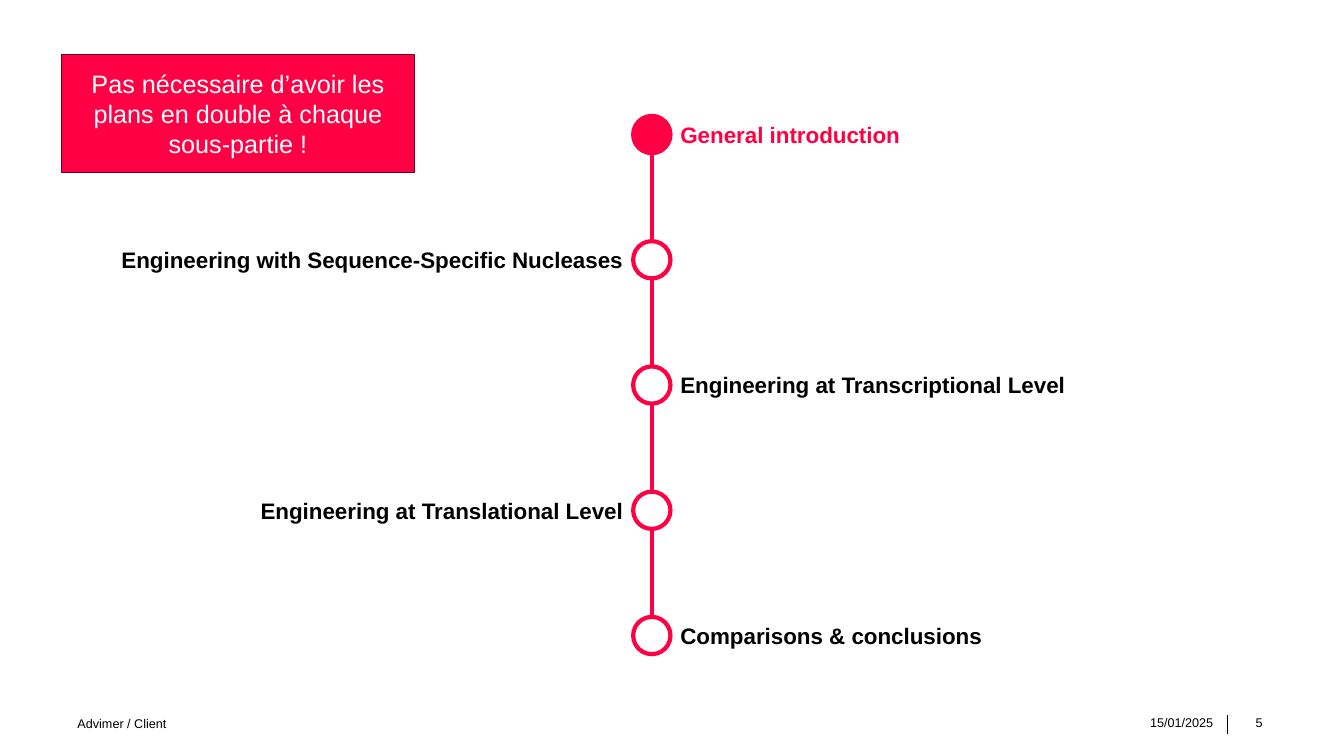
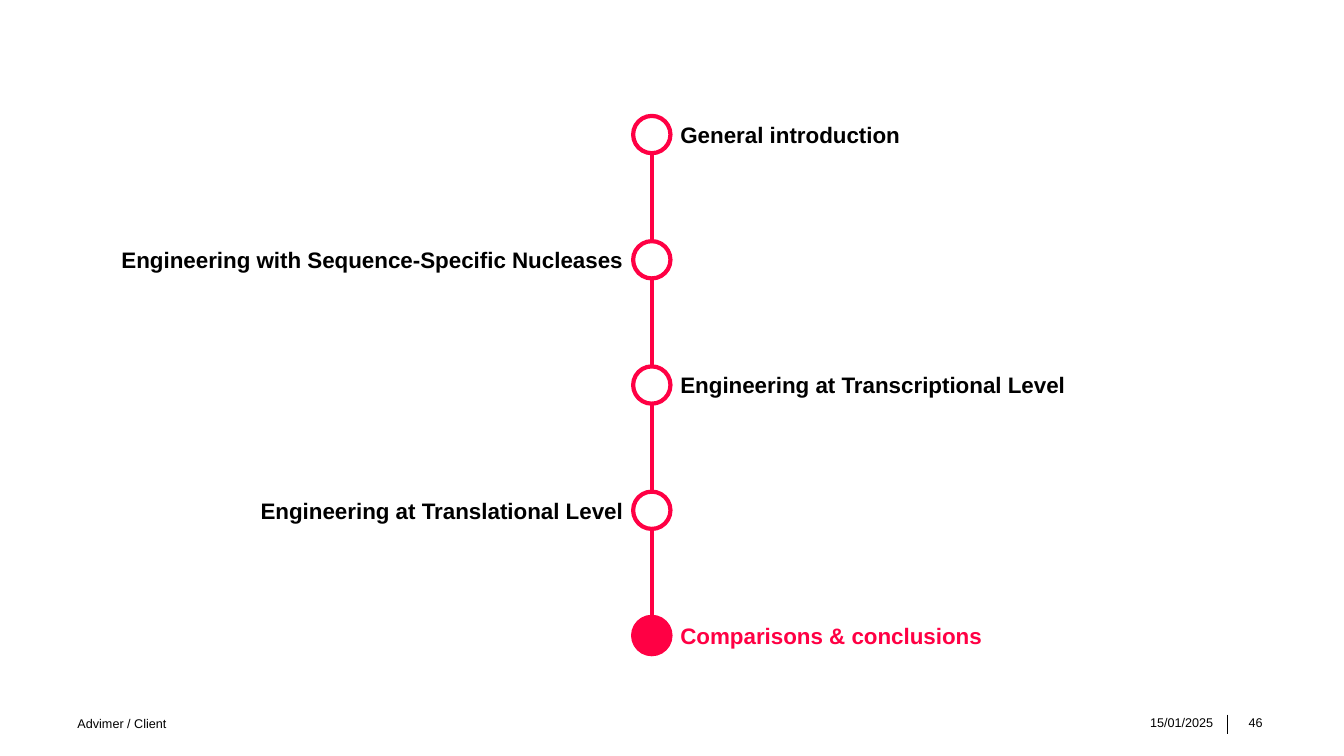
import pptx
import pptx.util
import pptx.dml.color
import pptx.enum.shapes
import pptx.enum.text
import pptx.oxml.ns
import lxml.etree

Inches = pptx.util.Inches
Pt = pptx.util.Pt
RGBColor = pptx.dml.color.RGBColor
Align = pptx.enum.text.PP_ALIGN
Anchor = pptx.enum.text.MSO_ANCHOR
Shape = pptx.enum.shapes.MSO_SHAPE

RED = RGBColor(0xFF, 0x00, 0x44)
WINE = RGBColor(0x70, 0x00, 0x1E)
BLACK = RGBColor(0x00, 0x00, 0x00)
WHITE = RGBColor(0xFF, 0xFF, 0xFF)
FONT = "Arial"

STEPS = [
    "General introduction",
    "Engineering with Sequence-Specific Nucleases",
    "Engineering at Transcriptional Level",
    "Engineering at Translational Level",
    "Comparisons & conclusions",
]
TOP, END = 1.15, 6.12
LEFT, DOT = 6.28, 0.37
PITCH = (END - TOP) / (len(STEPS) - 1)


def write(shape, text, size, color, align, bold=False):
    frame = shape.text_frame
    frame.word_wrap = True
    frame.vertical_anchor = Anchor.MIDDLE
    para = frame.paragraphs[0]
    para.text = text
    para.alignment = align
    font = para.font
    font.name, font.size, font.bold = FONT, Pt(size), bold
    font.color.rgb = color


def label(slide, box, text, size, color=BLACK, align=Align.LEFT, bold=False):
    shape = slide.shapes.add_textbox(*map(Inches, box))
    write(shape, text, size, color, align, bold)


def rule(slide, x, top, end, color, width):
    line = slide.shapes.add_connector(
        pptx.enum.shapes.MSO_CONNECTOR.STRAIGHT,
        Inches(x), Inches(top), Inches(x), Inches(end))
    line.line.color.rgb = color
    line.line.width = Pt(width)
    props = line._element.spPr
    lxml.etree.SubElement(props, pptx.oxml.ns.qn("a:effectLst"))


def solid(slide, kind, box, fill, edge, width):
    shape = slide.shapes.add_shape(kind, *map(Inches, box))
    shape.shadow.inherit = False
    shape.fill.solid()
    shape.fill.fore_color.rgb = fill
    shape.line.color.rgb = edge
    shape.line.width = Pt(width)
    return shape


def footer(slide, number):
    label(slide, (0.67, 6.98, 5.05, 0.4), "Advimer / Client", 9)
    label(slide, (10.3, 6.97, 1.83, 0.4), "15/01/2025", 9, align=Align.RIGHT)
    label(slide, (12.17, 6.97, 0.45, 0.4), str(number), 9, align=Align.RIGHT)
    rule(slide, 12.17, 7.09, 7.28, BLACK, 0.5)


def plan(slide, active):
    rule(slide, LEFT + DOT / 2, TOP + DOT / 2, END + DOT / 2, RED, 3)
    for index, text in enumerate(STEPS):
        y = TOP + index * PITCH
        now = index == active
        solid(slide, Shape.OVAL, (LEFT, y, DOT, DOT), RED if now else WHITE, RED, 3)
        if index % 2:
            box, align = (1.08, y, LEFT - 1.08, DOT), Align.RIGHT
        else:
            box, align = (LEFT + DOT, y, 4.47, DOT), Align.LEFT
        label(slide, box, text, 16, RED if now else BLACK, align, True)


def note(slide, text):
    shape = solid(slide, Shape.RECTANGLE, (0.61, 0.54, 3.5, 1.17), RED, WINE, 1)
    write(shape, text, 18, WHITE, Align.CENTER)


def page(deck, number, active):
    slide = deck.slides.add_slide(deck.slide_layouts[6])
    footer(slide, number)
    plan(slide, active)
    return slide


def main():
    deck = pptx.Presentation()
    deck.slide_width, deck.slide_height = Inches(13.33), Inches(7.5)
    intro = page(deck, 5, 0)
    note(intro, "Pas nécessaire d’avoir les plans en double à chaque sous-partie !")
    page(deck, 46, len(STEPS) - 1)
    deck.save("out.pptx")


if __name__ == "__main__":
    main()
